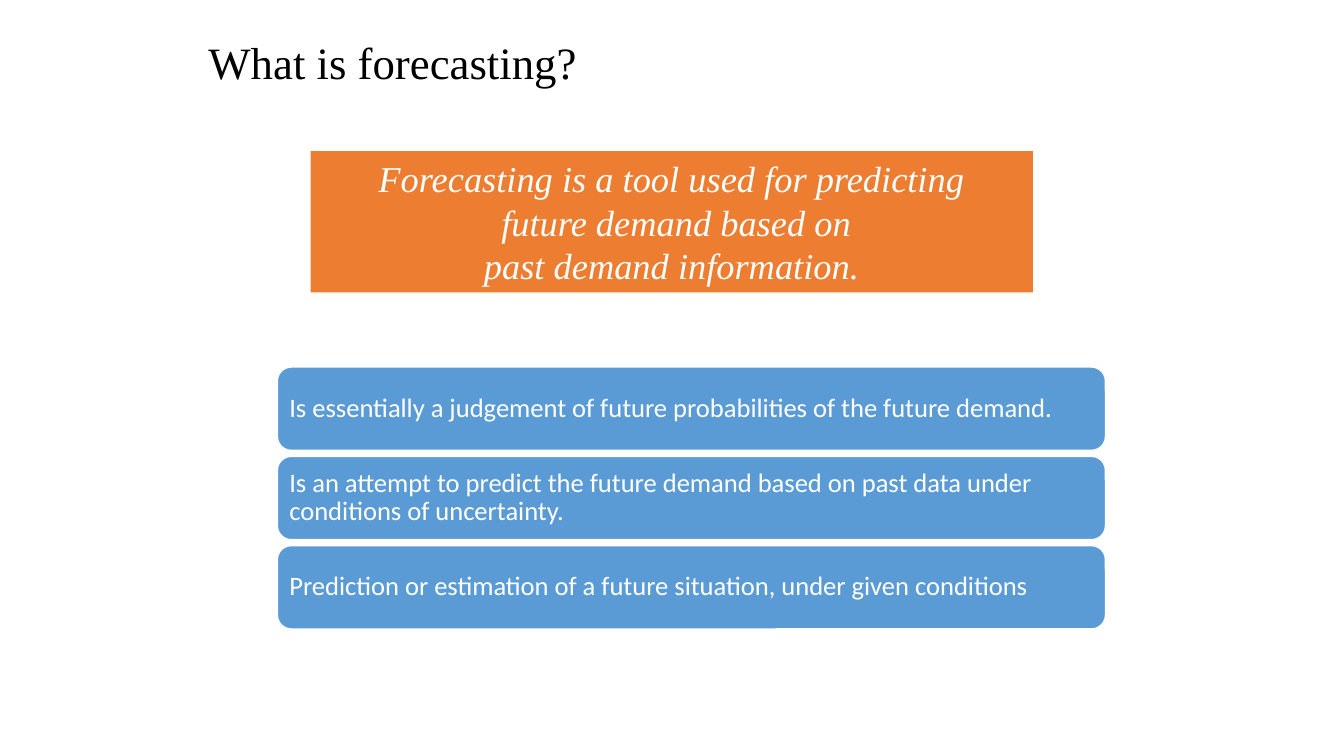
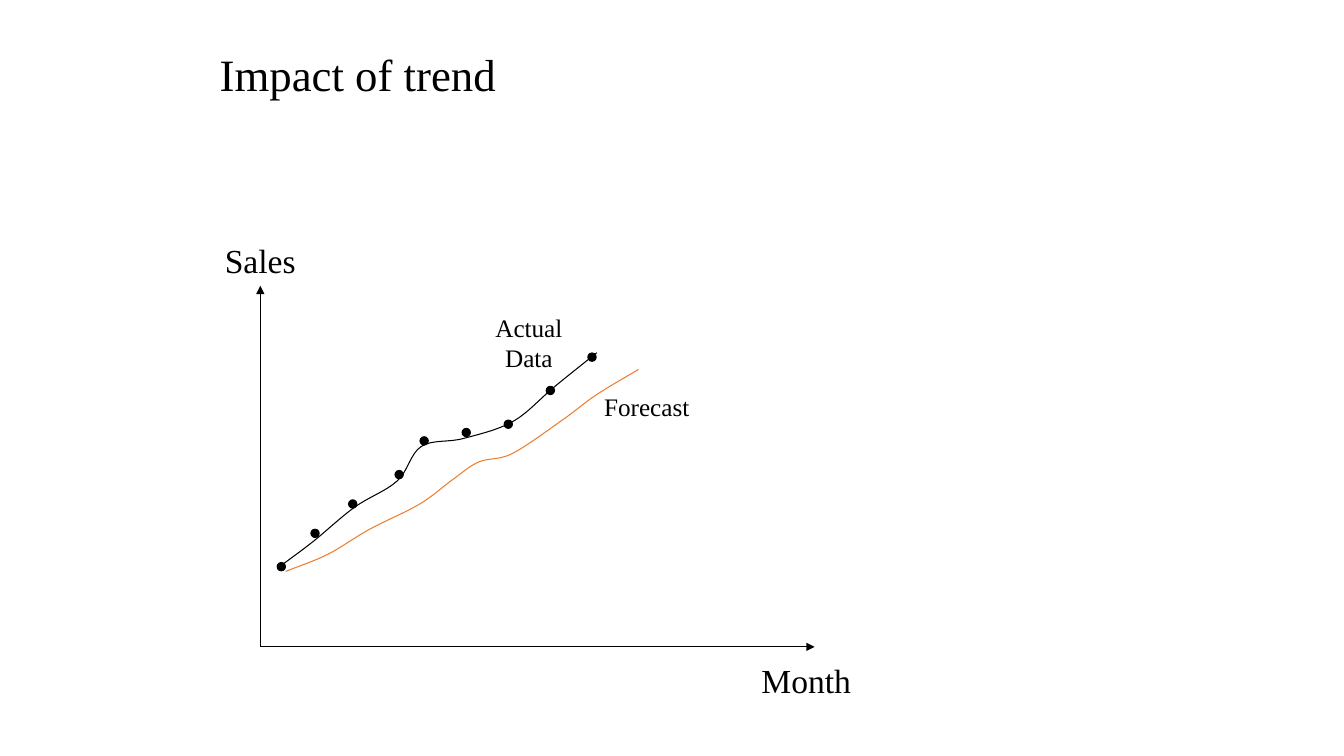
from lxml import etree
from pptx import Presentation
from pptx.dml.color import RGBColor
from pptx.enum.shapes import MSO_CONNECTOR, MSO_SHAPE
from pptx.enum.text import MSO_ANCHOR, PP_ALIGN
from pptx.oxml.ns import qn
from pptx.util import Cm, Pt

LEFT, CENTER = PP_ALIGN.LEFT, PP_ALIGN.CENTER
TOP, MIDDLE = MSO_ANCHOR.TOP, MSO_ANCHOR.MIDDLE
RECT, ROUNDED, OVAL = MSO_SHAPE.RECTANGLE, MSO_SHAPE.ROUNDED_RECTANGLE, MSO_SHAPE.OVAL
STRAIGHT = MSO_CONNECTOR.STRAIGHT

BLACK, WHITE, ORANGE, BLUE = "000000", "FFFFFF", "ED7D31", "5B9BD5"
SERIF, SANS = "Times New Roman", "Calibri"
TITLE_SIZE, THIN = 32, 0.75

DEFINITION = [
    "Forecasting is a tool used for predicting",
    " future demand based on",
    "past demand information.",
]
CARDS = [
    "Is essentially a judgement of future probabilities of the future demand.",
    "Is an attempt to predict the future demand based on past data under conditions of uncertainty.",
    "Prediction or estimation of a future situation, under given conditions",
]
CARD_LEFT, CARD_TOP, CARD_W, CARD_H, CARD_PITCH = 6.99, 9.25, 20.87, 2.1, 2.25

ORIGIN = (6.56, 16.3)
AXIS_ENDS = [(6.56, 7.2), (20.53, 16.3)]
MARKER = 0.21
MARKERS = [
    (7.09, 14.28), (7.94, 13.44), (8.89, 12.7), (10.06, 11.96), (10.69, 11.11),
    (11.75, 10.9), (12.81, 10.69), (13.87, 9.84), (14.92, 9),
]
CURVES = [
    (BLACK, [(7.06, 14.27), (7.9, 13.64), (8.94, 12.78), (10.01, 12.12), (10.62, 11.25),
             (11.68, 11.05), (12.93, 10.62), (13.97, 9.75), (15.04, 8.89)]),
    (ORANGE, [(7.2, 14.4), (8.26, 13.97), (9.31, 13.34), (10.58, 12.7), (11.43, 12.07),
              (12.07, 11.64), (12.91, 11.43), (14.18, 10.58), (15.03, 9.95), (16.09, 9.31)]),
]
LABELS = [
    ("Sales", 24, (5.08, 5.92, 2.96, 1.27)),
    ("Month", 24, (18.2, 16.51, 4.24, 1.27)),
    ("Actual Data", 18, (11.85, 7.75, 2.96, 1.78)),
    ("Forecast", 18, (14.82, 9.73, 2.96, 1.02)),
]


def color(value):
    return RGBColor.from_string(value)


def write(tf, lines, size, font=SERIF, ink=BLACK, align=LEFT, anchor=TOP, italic=False):
    tf.word_wrap = True
    tf.vertical_anchor = anchor
    for i, line in enumerate(lines):
        p = tf.paragraphs[0] if i == 0 else tf.add_paragraph()
        p.alignment = align
        r = p.add_run()
        r.text = line
        r.font.name, r.font.size, r.font.italic = font, Pt(size), italic
        r.font.color.rgb = color(ink)


def add_titled_slide(prs, title, box):
    s = prs.slides.add_slide(prs.slide_layouts[5])
    sp = s.shapes.title
    sp.left, sp.top, sp.width, sp.height = map(Cm, box)
    write(sp.text_frame, [title], TITLE_SIZE)
    return s


def add_filled(s, kind, box, fill, line=None, width=THIN):
    sp = s.shapes.add_shape(kind, *map(Cm, box))
    sp.shadow.inherit = False
    sp.fill.solid()
    sp.fill.fore_color.rgb = color(fill)
    if line:
        sp.line.color.rgb = color(line)
        sp.line.width = Pt(width)
    else:
        sp.line.fill.background()
    return sp


def add_axis(s, start, end):
    axis = s.shapes.add_connector(STRAIGHT, *map(Cm, start + end))
    axis.line.color.rgb = color(BLACK)
    axis.line.width = Pt(THIN)
    etree.SubElement(axis.line._get_or_add_ln(), qn("a:tailEnd"), type="triangle")
    etree.SubElement(axis._element.spPr, qn("a:effectLst"))


def reflect(point, center):
    return tuple(2 * c - p for p, c in zip(point, center))


def bezier_segments(knots):
    padded = [reflect(knots[1], knots[0]), *knots, reflect(knots[-2], knots[-1])]
    for before, start, end, after in zip(padded, padded[1:], padded[2:], padded[3:]):
        leave = tuple(b + (c - a) / 6 for a, b, c in zip(before, start, end))
        arrive = tuple(c - (d - b) / 6 for b, c, d in zip(start, end, after))
        yield leave, arrive, end


def add_curve(s, ink, knots):
    points = [(Cm(x), Cm(y)) for x, y in knots]
    builder = s.shapes.build_freeform(*points[0])
    builder.add_line_segments(points[1:], close=False)
    curve = builder.convert_to_shape()
    lines = list(curve._element.iter(qn("a:lnTo")))
    for line, segment in zip(lines, bezier_segments(points)):
        bezier = etree.Element(qn("a:cubicBezTo"))
        for x, y in segment:
            etree.SubElement(bezier, qn("a:pt"),
                             x=str(round(x - curve.left)), y=str(round(y - curve.top)))
        line.getparent().replace(line, bezier)
    curve.shadow.inherit = False
    curve.fill.background()
    curve.line.color.rgb = color(ink)
    curve.line.width = Pt(THIN)


def build_definition(prs):
    s = add_titled_slide(prs, "What is forecasting?", (5, 0.74, 22.86, 1.6))
    banner = add_filled(s, RECT, (7.83, 3.81, 18.2, 3.56), ORANGE)
    write(banner.text_frame, DEFINITION, 26, ink=WHITE, align=CENTER, italic=True)
    for i, text in enumerate(CARDS):
        box = (CARD_LEFT, CARD_TOP + i * CARD_PITCH, CARD_W, CARD_H)
        card = add_filled(s, ROUNDED, box, BLUE, WHITE, 1)
        tf = card.text_frame
        tf.margin_left = tf.margin_right = Cm(0.2)
        write(tf, [text], 19, SANS, WHITE, anchor=MIDDLE)
        tf.paragraphs[0].line_spacing = 0.9


def build_trend(prs):
    s = add_titled_slide(prs, "Impact of trend", (5.28, 1.05, 23.29, 1.6))
    for end in AXIS_ENDS:
        add_axis(s, ORIGIN, end)
    for x, y in MARKERS:
        add_filled(s, OVAL, (x - MARKER / 2, y - MARKER / 2, MARKER, MARKER), BLACK, BLACK)
    for ink, knots in CURVES:
        add_curve(s, ink, knots)
    for text, size, box in LABELS:
        label = s.shapes.add_textbox(*map(Cm, box))
        write(label.text_frame, [text], size, align=CENTER)


def main():
    prs = Presentation()
    prs.slide_width, prs.slide_height = Cm(33.87), Cm(19.05)
    build_definition(prs)
    build_trend(prs)
    prs.save("out.pptx")


if __name__ == "__main__":
    main()
